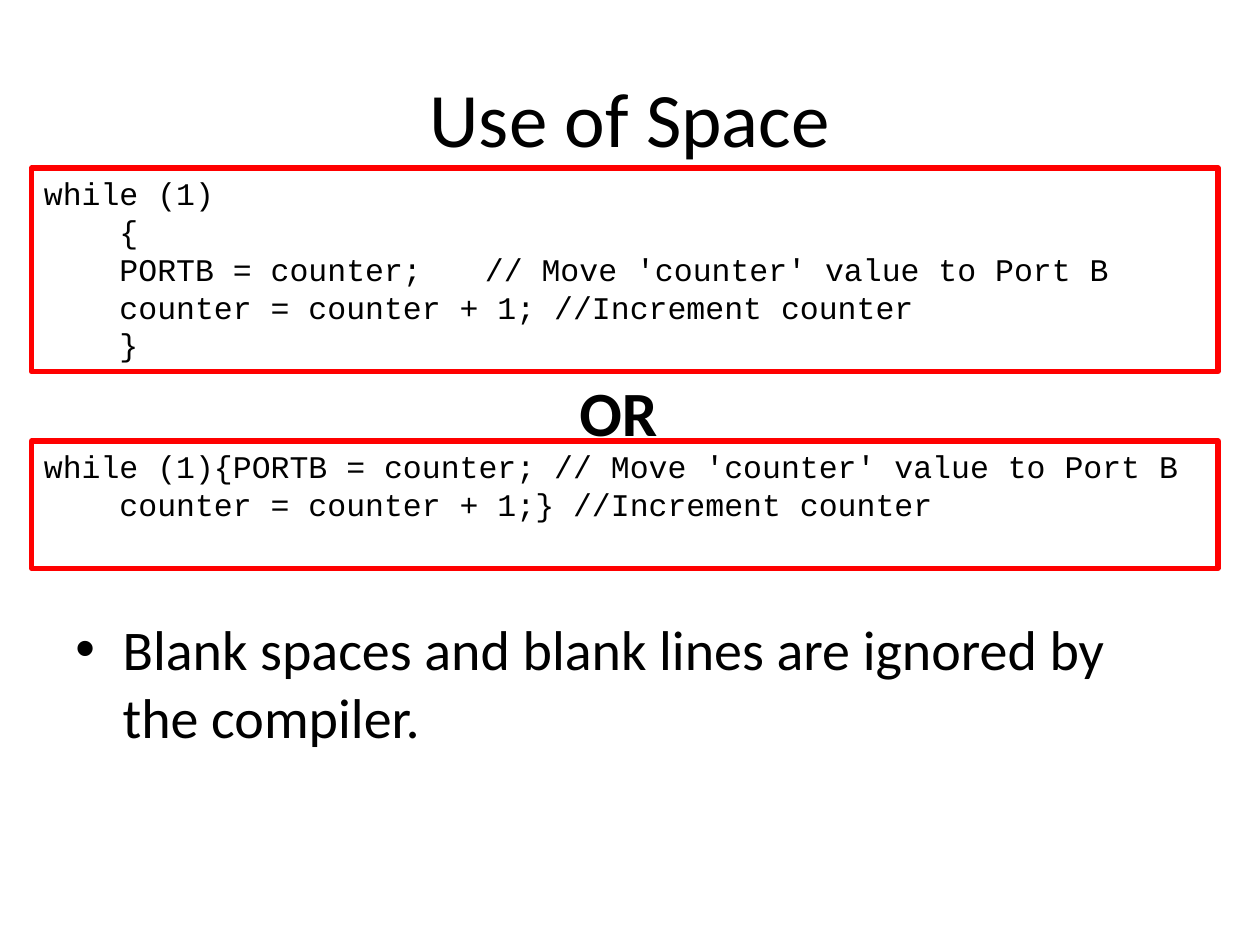
from lxml.etree import SubElement
from pptx import Presentation
from pptx.dml.color import RGBColor
from pptx.enum.shapes import MSO_SHAPE
from pptx.enum.text import MSO_ANCHOR, PP_ALIGN
from pptx.oxml.ns import qn
from pptx.util import Pt

BLACK = "000000"
RED = "FF0000"
CODE_INDENT = 43.2
COMMENT_TAB = 288
SPACED_CODE = [
    (0, "while (1)"),
    (1, "{"),
    (1, "PORTB = counter;\t// Move 'counter' value to Port B"),
    (1, "counter = counter + 1; //Increment counter"),
    (1, "}"),
]
COMPACT_CODE = [
    (0, "while (1){PORTB = counter; // Move 'counter' value to Port B"),
    (1, "counter = counter + 1;} //Increment counter"),
]


def color(value):
    return RGBColor.from_string(value)


def format_paragraph(paragraph, size, font_name="Calibri", bold=False, align=PP_ALIGN.LEFT):
    paragraph.alignment = align
    for run in paragraph.runs:
        run.font.name = font_name
        run.font.size = Pt(size)
        run.font.bold = bold
        run.font.color.rgb = color(BLACK)


def set_title(slide, text):
    title = slide.shapes.title
    title.left, title.top, title.width, title.height = Pt(36), Pt(21.6), Pt(648), Pt(90)
    title.text_frame.text = text
    title.text_frame.vertical_anchor = MSO_ANCHOR.MIDDLE
    format_paragraph(title.text_frame.paragraphs[0], 44, align=PP_ALIGN.CENTER)


def add_text(slide, text, left, top, width, height, size, bold=False):
    box = slide.shapes.add_textbox(Pt(left), Pt(top), Pt(width), Pt(height))
    box.text_frame.word_wrap = True
    box.text_frame.text = text
    paragraph = box.text_frame.paragraphs[0]
    format_paragraph(paragraph, size, bold=bold)
    return paragraph


def add_bullet(paragraph, hanging):
    paragraph.space_before = Pt(6.4)
    properties = paragraph._p.get_or_add_pPr()
    properties.set("marL", str(Pt(hanging)))
    properties.set("indent", str(-Pt(hanging)))
    SubElement(properties, qn("a:buFont"), typeface="Arial")
    SubElement(properties, qn("a:buChar"), char="•")


def indent_code(paragraph, level):
    properties = paragraph._p.get_or_add_pPr()
    properties.set("marL", "0")
    properties.set("indent", str(Pt(CODE_INDENT * level)))
    if "\t" in paragraph.text:
        tabs = SubElement(properties, qn("a:tabLst"))
        SubElement(tabs, qn("a:tab"), pos=str(Pt(COMMENT_TAB)), algn="l")


def add_code_box(slide, lines, top, height):
    shape = slide.shapes.add_shape(MSO_SHAPE.RECTANGLE, Pt(18), Pt(top), Pt(678), Pt(height))
    shape.shadow.inherit = False
    shape.fill.background()
    shape.line.color.rgb = color(RED)
    shape.line.width = Pt(3)
    text_frame = shape.text_frame
    text_frame.word_wrap = True
    text_frame.vertical_anchor = MSO_ANCHOR.TOP
    text_frame.text = "\n".join(text for level, text in lines)
    for paragraph, (level, text) in zip(text_frame.paragraphs, lines):
        format_paragraph(paragraph, 18, "Courier New")
        indent_code(paragraph, level)


def main():
    presentation = Presentation()
    presentation.slide_width, presentation.slide_height = Pt(720), Pt(540)
    slide = presentation.slides.add_slide(presentation.slide_layouts[5])
    set_title(slide, "Use of Space")
    note = add_text(slide, "Blank spaces and blank lines are ignored by the compiler.",
                    36, 347.8, 648, 134.6, 32)
    add_bullet(note, 27)
    add_code_box(slide, SPACED_CODE, 96, 116.4)
    add_code_box(slide, COMPACT_CODE, 252, 72.7)
    add_text(slide, "OR", 324, 210, 90, 51, 36, bold=True)
    presentation.save("out.pptx")


if __name__ == "__main__":
    main()
